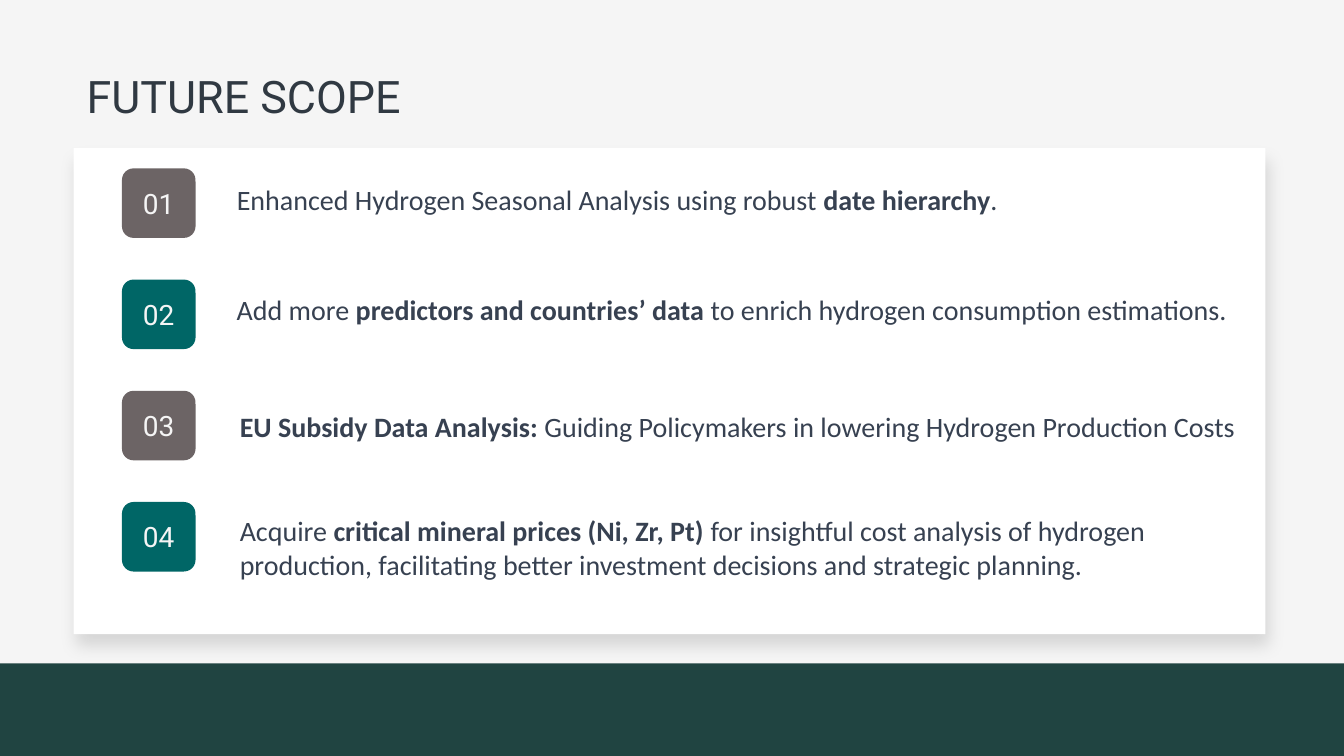
from pptx import Presentation
from pptx.dml.color import RGBColor
from pptx.enum.shapes import MSO_SHAPE as Shape
from pptx.enum.text import MSO_ANCHOR as Anchor, PP_ALIGN as Align
from pptx.oxml import parse_xml
from pptx.oxml.ns import nsdecls
from pptx.util import Inches, Pt

INK, TEXT, PALE = "303942", "374151", "F5F5F5"
GRAY, TEAL, DARK, WHITE = "6C6465", "006666", "204441", "FFFFFF"
FIRST_TOP, LAST_TOP = 1.67, 4.98

# Left, top, width and height of the text, then its (wording, bold) runs
ITEMS = [
    ((2.25, 1.76, 8.39, 0.44),
     [("Enhanced Hydrogen Seasonal Analysis using robust ", False),
      ("date hierarchy", True), (".", False)]),
    ((2.25, 2.85, 10.3, 0.44),
     [("Add more ", False), ("predictors and countries’ data ", True),
      ("to enrich hydrogen consumption estimations.", False)]),
    ((2.28, 4.01, 10.12, 0.44),
     [("EU Subsidy Data Analysis: ", True),
      ("Guiding Policymakers in lowering Hydrogen Production Costs", False)]),
    ((2.28, 5.05, 9.97, 0.77),
     [("Acquire ", False), ("critical mineral prices (Ni, Zr, Pt) ", True),
      ("for insightful cost analysis of hydrogen production, facilitating "
       "better investment decisions and strategic planning.", False)]),
]


def color(code):
    return RGBColor.from_string(code)


def style(run, size, face, code, bold=False):
    font = run.font
    font.size, font.name, font.bold = Pt(size), face, bold
    font.color.rgb = color(code)


def add_block(slide, kind, box, fill):
    block = slide.shapes.add_shape(kind, *map(Inches, box))
    block.shadow.inherit = False
    block.fill.solid()
    block.fill.fore_color.rgb = color(fill)
    block.line.fill.background()
    return block


def add_card(slide, box):
    """Add a white panel with a soft shadow below it."""
    card = add_block(slide, Shape.RECTANGLE, box, WHITE)
    effects = card._element.spPr.find("{*}effectLst")
    effects.append(parse_xml(
        f'<a:outerShdw {nsdecls("a")} blurRad="{Pt(12.4)}" dist="{Pt(9)}" '
        f'dir="{76 * 60000}" algn="tl" rotWithShape="0">'
        '<a:srgbClr val="000000"><a:alpha val="13000"/></a:srgbClr>'
        '</a:outerShdw>'))


def add_tile(slide, top, label, fill):
    tile = add_block(slide, Shape.ROUNDED_RECTANGLE,
                     (1.21, top, 0.73, 0.69), fill)
    frame = tile.text_frame
    frame.text = label
    frame.vertical_anchor = Anchor.MIDDLE
    para = frame.paragraphs[0]
    para.alignment = Align.CENTER
    style(para.runs[0], 20, "Roboto", PALE)


def add_text(slide, box):
    frame = slide.shapes.add_textbox(*map(Inches, box)).text_frame
    frame.word_wrap = True
    return frame


def add_title(slide, text):
    frame = add_text(slide, (0.73, 0.53, 11.23, 0.84))
    frame.margin_left = frame.margin_right = Inches(0.13)
    frame.vertical_anchor = Anchor.MIDDLE
    frame.text = text
    style(frame.paragraphs[0].runs[0], 32, "Roboto", INK)


def add_item(slide, box, parts):
    para = add_text(slide, box).paragraphs[0]
    for text, bold in parts:
        run = para.add_run()
        run.text = text
        style(run, 20, "Calibri", TEXT, bold)


def main():
    deck = Presentation()
    deck.slide_width, deck.slide_height = Inches(13.33), Inches(7.5)
    slide = deck.slides.add_slide(deck.slide_layouts[6])
    slide.background.fill.solid()
    slide.background.fill.fore_color.rgb = color(PALE)

    add_title(slide, "FUTURE SCOPE")
    add_card(slide, (0.73, 1.47, 11.82, 4.82))
    step = (LAST_TOP - FIRST_TOP) / (len(ITEMS) - 1)
    for i, (box, parts) in enumerate(ITEMS):
        fill = TEAL if i % 2 else GRAY
        add_tile(slide, FIRST_TOP + i * step, f"{i + 1:02}", fill)
        add_item(slide, box, parts)
    add_block(slide, Shape.RECTANGLE, (0, 6.58, 13.33, 0.92), DARK)
    deck.save("out.pptx")


if __name__ == "__main__":
    main()
